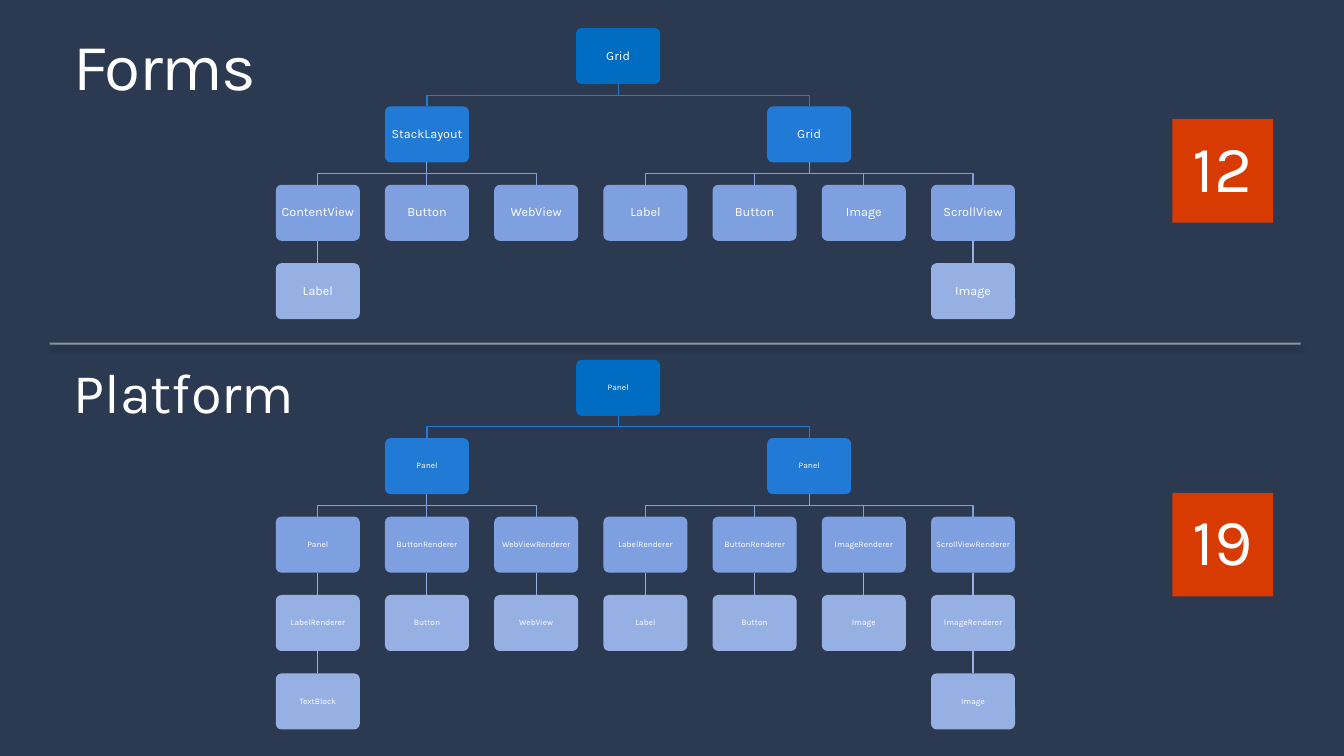
"""Build a slide comparing the Forms element tree with the Platform element tree."""
import dataclasses
import itertools

import lxml.etree
import pptx
import pptx.dml.color
import pptx.enum.shapes
import pptx.enum.text
import pptx.oxml
import pptx.oxml.ns
import pptx.util

EMU_PER_PX = 6350
SLIDE_SIZE = (1920, 1080)
NODE_WIDTH, NODE_HEIGHT = 120, 80
COLUMN_PITCH, LEVEL_PITCH = 156, 112
FIRST_COLUMN_CENTRE = 454

FORMS_TREE = ("Grid", [
    ("StackLayout", [
        ("ContentView", [("Label", [])]),
        ("Button", []),
        ("WebView", []),
    ]),
    ("Grid", [
        ("Label", []),
        ("Button", []),
        ("Image", []),
        ("ScrollView", [("Image", [])]),
    ]),
])

PLATFORM_TREE = ("Panel", [
    ("Panel", [
        ("Panel", [("LabelRenderer", [("TextBlock", [])])]),
        ("ButtonRenderer", [("Button", [])]),
        ("WebViewRenderer", [("WebView", [])]),
    ]),
    ("Panel", [
        ("LabelRenderer", [("Label", [])]),
        ("ButtonRenderer", [("Button", [])]),
        ("ImageRenderer", [("Image", [])]),
        ("ScrollViewRenderer", [("ImageRenderer", [("Image", [])])]),
    ]),
])


@dataclasses.dataclass(frozen=True)
class Theme:
    font: str = "Karla"
    background: str = "2B3951"
    text: str = "FFFFFF"
    divider: str = "F2F2F2"
    badge: str = "D83B01"
    levels: tuple = ("006DC3", "227AD7", "7FA0E0", "97B0E4")
    title_size: int = 47
    subtitle_size: int = 40
    forms_size: int = 9
    platform_size: int = 6
    branch_width: float = 0.75
    divider_width: float = 1.35

    def level(self, depth):
        return self.levels[min(depth, len(self.levels) - 1)]


def px(length):
    return pptx.util.Emu(length * EMU_PER_PX)


def rgb(colour):
    return pptx.dml.color.RGBColor.from_string(colour)


class SlideBuilder:
    """Draw the elements of one slide in one theme."""

    def __init__(self, slide, theme):
        self.slide = slide
        self.theme = theme
        slide.background.fill.solid()
        slide.background.fill.fore_color.rgb = rgb(theme.background)

    def label(self, shape, text, size, align, inset=0, wrap=True):
        frame = shape.text_frame
        frame.text = text
        frame.word_wrap = wrap
        frame.auto_size = pptx.enum.text.MSO_AUTO_SIZE.NONE
        frame.vertical_anchor = pptx.enum.text.MSO_ANCHOR.MIDDLE
        frame.margin_left = frame.margin_right = px(inset)
        frame.margin_top = frame.margin_bottom = px(inset)
        paragraph = frame.paragraphs[0]
        paragraph.alignment = align
        paragraph.line_spacing = 0.9
        run = paragraph.runs[0]
        run.font.name = self.theme.font
        run.font.size = pptx.util.Pt(size)
        run.font.color.rgb = rgb(self.theme.text)
        return run

    def title(self, text, left, top, width, height):
        heading = self.slide.shapes.title
        heading.left, heading.top = px(left), px(top)
        heading.width, heading.height = px(width), px(height)
        run = self.label(heading, text, self.theme.title_size, pptx.enum.text.PP_ALIGN.LEFT)
        run._r.get_or_add_rPr().set("spc", "-100")

    def subtitle(self, text, left, top, width, height):
        heading = self.slide.shapes.add_textbox(px(left), px(top), px(width), px(height))
        self.label(heading, text, self.theme.subtitle_size, pptx.enum.text.PP_ALIGN.LEFT)

    def box(self, preset, fill, text, size, left, top, width, height, inset):
        shape = self.slide.shapes.add_shape(preset, px(left), px(top), px(width), px(height))
        shape.shadow.inherit = False
        shape.fill.solid()
        shape.fill.fore_color.rgb = rgb(fill)
        shape.line.fill.background()
        self.label(shape, text, size, pptx.enum.text.PP_ALIGN.CENTER, inset, wrap=False)
        return shape

    def badge(self, text, left, top, width, height):
        self.box(pptx.enum.shapes.MSO_SHAPE.RECTANGLE, self.theme.badge, text,
                 self.theme.title_size, left, top, width, height, 24)

    def node(self, text, size, depth, centre, top):
        shape = self.box(pptx.enum.shapes.MSO_SHAPE.ROUNDED_RECTANGLE, self.theme.level(depth),
                         text, size, centre - NODE_WIDTH // 2, top, NODE_WIDTH, NODE_HEIGHT, 5)
        shape.adjustments[0] = 0.1
        return shape

    def line(self, start, end, colour, width):
        connector = self.slide.shapes.add_connector(
            pptx.enum.shapes.MSO_CONNECTOR.STRAIGHT, *map(px, start + end))
        connector.line.color.rgb = rgb(colour)
        connector.line.width = pptx.util.Pt(width)
        lxml.etree.SubElement(connector._element.spPr, pptx.oxml.ns.qn("a:effectLst"))
        return connector

    def divider(self, start, end):
        rule = self.line(start, end, self.theme.divider, self.theme.divider_width)
        properties = rule._element.spPr
        colour = properties.find(".//" + pptx.oxml.ns.qn("a:srgbClr"))
        lxml.etree.SubElement(colour, pptx.oxml.ns.qn("a:alpha"), val="50000")
        properties.find(pptx.oxml.ns.qn("a:effectLst")).append(pptx.oxml.parse_xml(
            f'<a:outerShdw {pptx.oxml.ns.nsdecls("a")} blurRad="50800" dist="38100" '
            'dir="5400000" algn="t" rotWithShape="0"><a:srgbClr val="000000">'
            '<a:alpha val="40000"/></a:srgbClr></a:outerShdw>'))

    def branch(self, parent, child, start, end, depth):
        colour = self.theme.level(depth)
        if start[0] == end[0]:
            stem = self.line(start, end, colour, self.theme.branch_width)
            stem.begin_connect(parent, 2)
            stem.end_connect(child, 0)
            return
        middle = (start[1] + end[1]) // 2
        corners = [(start[0], middle), (end[0], middle), end]
        outline = self.slide.shapes.build_freeform(px(start[0]), px(start[1]))
        outline.add_line_segments([(px(x), px(y)) for x, y in corners], close=False)
        elbow = outline.convert_to_shape()
        elbow.shadow.inherit = False
        elbow.fill.background()
        elbow.line.color.rgb = rgb(colour)
        elbow.line.width = pptx.util.Pt(self.theme.branch_width)

    def tree(self, root, size, top, depth=0, columns=None):
        columns = columns or itertools.count(FIRST_COLUMN_CENTRE, COLUMN_PITCH)
        name, children = root
        child_top = top + LEVEL_PITCH
        placed = [self.tree(child, size, child_top, depth + 1, columns) for child in children]
        if placed:
            centre = sum(child_centre for _, child_centre in placed) // len(placed)
        else:
            centre = next(columns)
        parent = self.node(name, size, depth, centre, top)
        for child, child_centre in placed:
            self.branch(parent, child, (centre, top + NODE_HEIGHT),
                        (child_centre, child_top), depth + 1)
        return parent, centre


def main():
    presentation = pptx.Presentation()
    presentation.slide_width, presentation.slide_height = map(px, SLIDE_SIZE)
    theme = Theme()
    builder = SlideBuilder(presentation.slides.add_slide(presentation.slide_layouts[5]), theme)
    builder.title("Forms", 105, 9, 1771, 180)
    builder.tree(FORMS_TREE, theme.forms_size, 40)
    builder.badge("12", 1675, 170, 144, 148)
    builder.divider((71, 491), (1858, 491))
    builder.subtitle("Platform", 105, 475, 1771, 180)
    builder.tree(PLATFORM_TREE, theme.platform_size, 514)
    builder.badge("19", 1675, 704, 144, 148)
    presentation.save("out.pptx")


if __name__ == "__main__":
    main()
